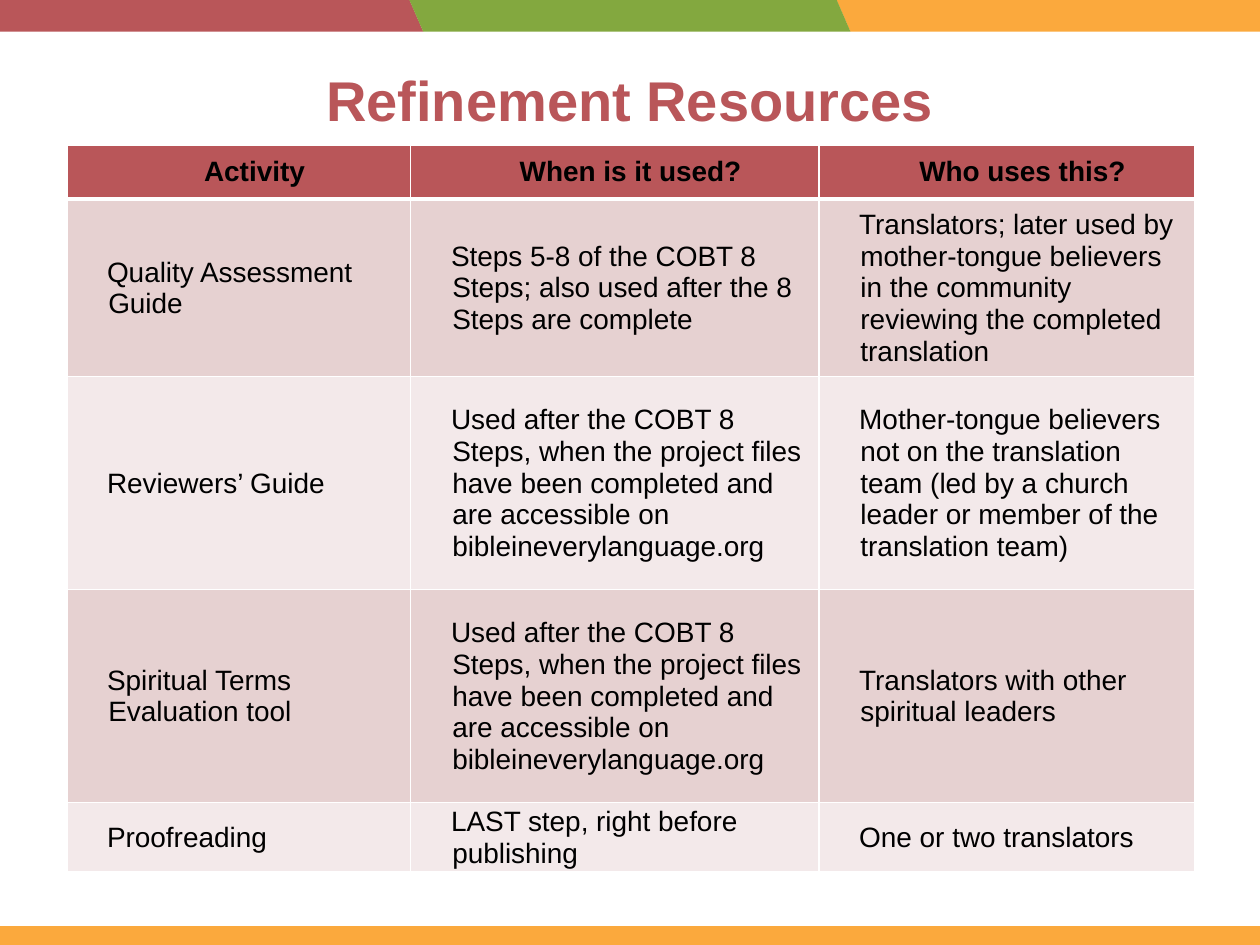
from dataclasses import dataclass

from lxml.etree import SubElement
from pptx import Presentation
from pptx.dml.color import RGBColor
from pptx.enum.shapes import MSO_SHAPE as Shape
from pptx.enum.text import MSO_ANCHOR as Anchor, MSO_AUTO_SIZE as AutoSize, PP_ALIGN as Align
from pptx.oxml.ns import qn
from pptx.util import Inches, Pt

RED, GREEN, ORANGE = "B95659", "83A83F", "FBA93D"
BLACK, WHITE = "000000", "FFFFFF"
ROW_TINTS = ("E6D1D1", "F3E9EA")
FONT = "Arial"


@dataclass
class Band:
    left: float
    top: float
    width: float
    height: float
    color: str
    slanted: bool = True


@dataclass
class Resource:
    activity: str
    timing: str
    users: str
    height: float

    def texts(self) -> tuple[str, str, str]:
        return self.activity, self.timing, self.users


BANDS = [
    Band(0, 7.35, 10, 0.15, ORANGE, slanted=False),
    Band(6.64, 0, 3.5, 0.25, ORANGE),
    Band(-0.14, 0, 3.5, 0.25, RED),
    Band(3.25, 0, 3.5, 0.25, GREEN),
]
AFTER_STEPS = (
    "Used after the COBT 8 Steps, when the project files have been completed "
    "and are accessible on bibleineverylanguage.org"
)
RESOURCES = [
    Resource("Activity", "When is it used?", "Who uses this?", 0.43),
    Resource(
        "Quality Assessment Guide",
        "Steps 5-8 of the COBT 8 Steps; also used after the 8 Steps are complete",
        "Translators; later used by mother-tongue believers in the community "
        "reviewing the completed translation",
        1.41,
    ),
    Resource(
        "Reviewers’ Guide",
        AFTER_STEPS,
        "Mother-tongue believers not on the translation team "
        "(led by a church leader or member of the translation team)",
        1.69,
    ),
    Resource("Spiritual Terms Evaluation tool", AFTER_STEPS,
             "Translators with other spiritual leaders", 1.69),
    Resource("Proofreading", "LAST step, right before publishing",
             "One or two translators", 0.55),
]
COLUMN_WIDTHS = (2.73, 3.24, 2.98)


def rgb(color: str) -> RGBColor:
    return RGBColor.from_string(color)


def set_font(paragraph, size: float, color: str, bold: bool) -> None:
    font = paragraph.font
    font.name, font.size, font.bold = FONT, Pt(size), bold
    font.color.rgb = rgb(color)


def draw_band(slide, band: Band) -> None:
    kind = Shape.PARALLELOGRAM if band.slanted else Shape.RECTANGLE
    strip = slide.shapes.add_shape(
        kind, Inches(band.left), Inches(band.top), Inches(band.width), Inches(band.height)
    )
    strip.shadow.inherit = False
    strip.fill.solid()
    strip.fill.fore_color.rgb = rgb(band.color)
    strip.line.fill.background()
    if band.slanted:
        strip.adjustments[0] = 0.436
        strip._element.spPr.find(qn("a:xfrm")).set("flipH", "1")


def write_title(slide, text: str) -> None:
    title = slide.shapes.title
    title.left, title.top = Inches(0.69), Inches(0.42)
    title.width, title.height = Inches(8.62), Inches(1.45)
    frame = title.text_frame
    frame.auto_size = AutoSize.NONE
    frame.vertical_anchor = Anchor.TOP
    frame.margin_top = Inches(0.1)
    frame.text = text
    heading = frame.paragraphs[0]
    heading.alignment = Align.CENTER
    set_font(heading, 32, RED, True)


def set_borders(cell, top: float, bottom: float) -> None:
    properties = cell._tc.get_or_add_tcPr()
    for side, width in (("L", 1), ("R", 1), ("T", top), ("B", bottom)):
        border = SubElement(properties, qn(f"a:ln{side}"), w=str(Pt(width)))
        fill = SubElement(border, qn("a:solidFill"))
        SubElement(fill, qn("a:srgbClr"), val=WHITE)


def fill_cell(cell, text: str, row: int) -> None:
    header = row == 0
    set_borders(cell, top=3 if row == 1 else 1, bottom=3 if header else 1)
    cell.fill.solid()
    cell.fill.fore_color.rgb = rgb(RED if header else ROW_TINTS[(row - 1) % 2])
    cell.vertical_anchor = Anchor.MIDDLE
    cell.margin_left = cell.margin_right = Inches(0.07)
    cell.margin_top = cell.margin_bottom = 0
    cell.text = text
    paragraph = cell.text_frame.paragraphs[0]
    paragraph.alignment = Align.CENTER if header else Align.LEFT
    paragraph.line_spacing = 1.02
    indents = paragraph._p.get_or_add_pPr()
    indents.set("marL", str(Inches(0.26)))
    indents.set("indent", str(Inches(-0.01)))
    set_font(paragraph, 16, BLACK, header)


def draw_resources(slide, resources: list[Resource]) -> None:
    table = slide.shapes.add_table(
        len(resources), len(COLUMN_WIDTHS), Inches(0.53), Inches(1.15),
        Inches(sum(COLUMN_WIDTHS)), Inches(sum(item.height for item in resources)),
    ).table
    for column, width in zip(table.columns, COLUMN_WIDTHS):
        column.width = Inches(width)
    for row, resource in enumerate(resources):
        table.rows[row].height = Inches(resource.height)
        for column, text in enumerate(resource.texts()):
            fill_cell(table.cell(row, column), text, row)


def main() -> None:
    deck = Presentation()
    deck.slide_width, deck.slide_height = Inches(10), Inches(7.5)
    slide = deck.slides.add_slide(deck.slide_layouts[5])
    for band in BANDS:
        draw_band(slide, band)
    write_title(slide, "Refinement Resources")
    draw_resources(slide, RESOURCES)
    deck.save("out.pptx")


if __name__ == "__main__":
    main()
